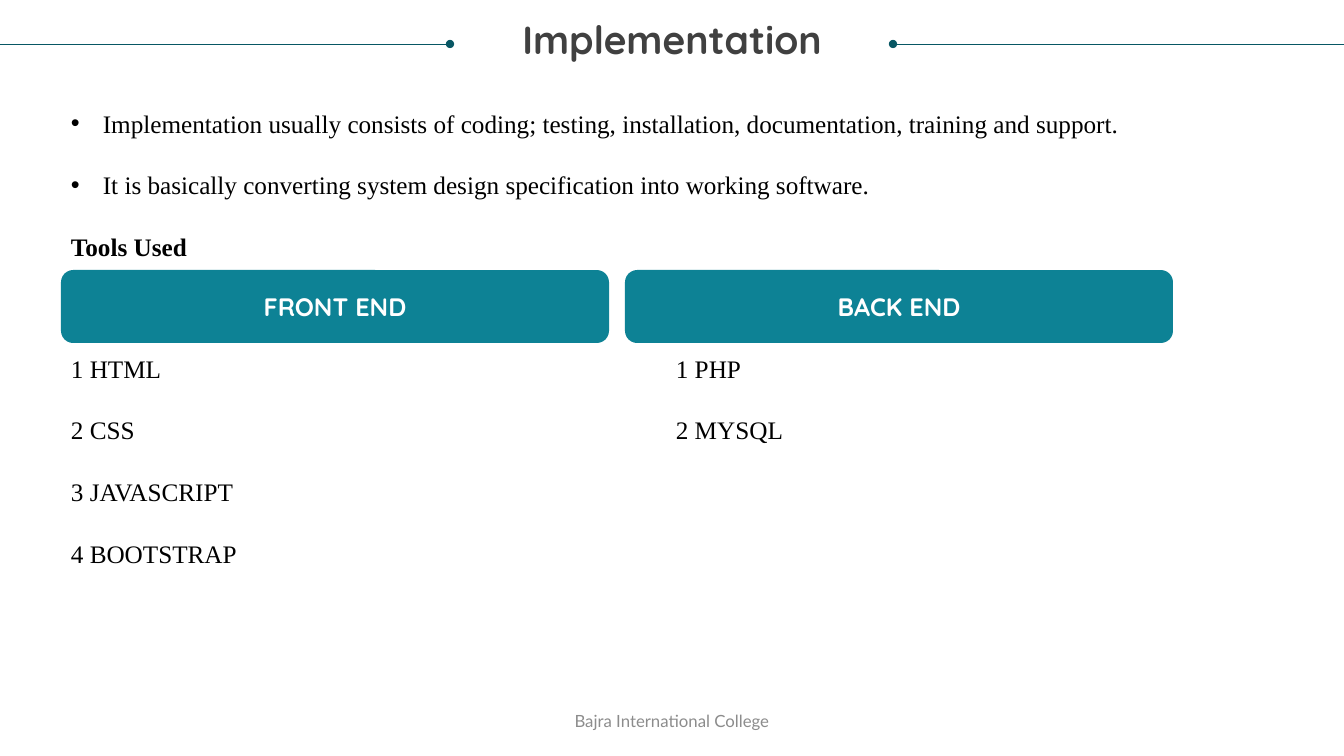
"""Build the Implementation slide with its front end and back end tools."""
from lxml.etree import SubElement
from pptx import Presentation
from pptx.dml.color import RGBColor as RGB
from pptx.enum.shapes import MSO_CONNECTOR as LINK, MSO_SHAPE as SHAPE
from pptx.enum.text import MSO_ANCHOR as ANCHOR, PP_ALIGN as ALIGN
from pptx.oxml.ns import qn
from pptx.util import Pt

THEME = {
    "rule": RGB.from_string("085764"),
    "bar": RGB.from_string("0D8295"),
    "title": dict(name="Quicksand", size=Pt(28), bold=True, color="404040"),
    "head": dict(name="Quicksand", size=Pt(18), bold=True, color="FFFFFF"),
    "body": dict(name="Times New Roman", size=Pt(18), bold=False, color="000000"),
    "foot": dict(name="Lato", size=Pt(12), bold=False, color="8C8C8C"),
}


def px(*nums):
    """Turn pixels into EMU."""
    return [round(num * 914400 / 100.8) for num in nums]


def style(para, text, look, align=ALIGN.LEFT):
    """Write a paragraph and set its font."""
    para.text = text
    para.alignment = align
    for key, value in THEME[look].items():
        if key == "color":
            para.font.color.rgb = RGB.from_string(value)
        else:
            setattr(para.font, key, value)


deck = Presentation()
deck.slide_width, deck.slide_height = px(1344, 756)
slide = deck.slides.add_slide(deck.slide_layouts[5])
shapes = slide.shapes

title = shapes.title
title.left, title.top, title.width, title.height = px(25, 21, 1294, 86)
frame = title.text_frame
for side in ("left", "top", "right", "bottom"):
    setattr(frame, "margin_" + side, 0)
frame.vertical_anchor = ANCHOR.TOP
style(frame.paragraphs[0], "Implementation", "title", ALIGN.CENTER)
frame.paragraphs[0].line_spacing = 0.9

for dot, edge in ((450, 0), (893, 1344)):
    rule = shapes.add_connector(LINK.STRAIGHT, *px(dot, 44, edge, 44))
    rule.line.color.rgb = THEME["rule"]
    rule.line.width = Pt(0.5)
    SubElement(rule.line._get_or_add_ln(), qn("a:headEnd"), type="oval")
    SubElement(rule._element.spPr, qn("a:effectLst"))

points = [
    "Implementation usually consists of coding; testing, installation, documentation, training and support.",
    "It is basically converting system design specification into working software.",
]
heading = "Tools Used"
tools = ["1 HTML\t1 PHP", "2 CSS\t2 MYSQL", "3 JAVASCRIPT", "4 BOOTSTRAP"]
frame = shapes.add_textbox(*px(61, 103, 1233, 468)).text_frame
frame.word_wrap = True
indent, stop = px(32, 605)
for num, text in enumerate(points + [heading] + tools):
    para = frame.paragraphs[0] if num == 0 else frame.add_paragraph()
    if num:
        para.space_before = Pt(65.6 if text == tools[0] else 22.4)
    props = para._p.get_or_add_pPr()
    if text in points:
        props.set("marL", str(indent))
        props.set("indent", str(-indent))
        SubElement(props, qn("a:buFont"), typeface="Arial")
        SubElement(props, qn("a:buChar"), char="•")
    elif "\t" in text:
        tabs = SubElement(props, qn("a:tabLst"))
        SubElement(tabs, qn("a:tab"), pos=str(stop), algn="l")
    style(para, text, "body")
    para.font.bold = text == heading

for col, text in enumerate(("FRONT END", "BACK END")):
    bar = shapes.add_shape(SHAPE.ROUNDED_RECTANGLE, *px(61 + 564 * col, 270, 548, 73))
    bar.shadow.inherit = False
    bar.fill.solid()
    bar.fill.fore_color.rgb = THEME["bar"]
    bar.line.fill.background()
    bar.text_frame.vertical_anchor = ANCHOR.MIDDLE
    style(bar.text_frame.paragraphs[0], text, "head", ALIGN.CENTER)

frame = shapes.add_textbox(*px(445, 701, 454, 40)).text_frame
frame.word_wrap = True
frame.vertical_anchor = ANCHOR.MIDDLE
style(frame.paragraphs[0], "Bajra International College", "foot", ALIGN.CENTER)

deck.save("out.pptx")
